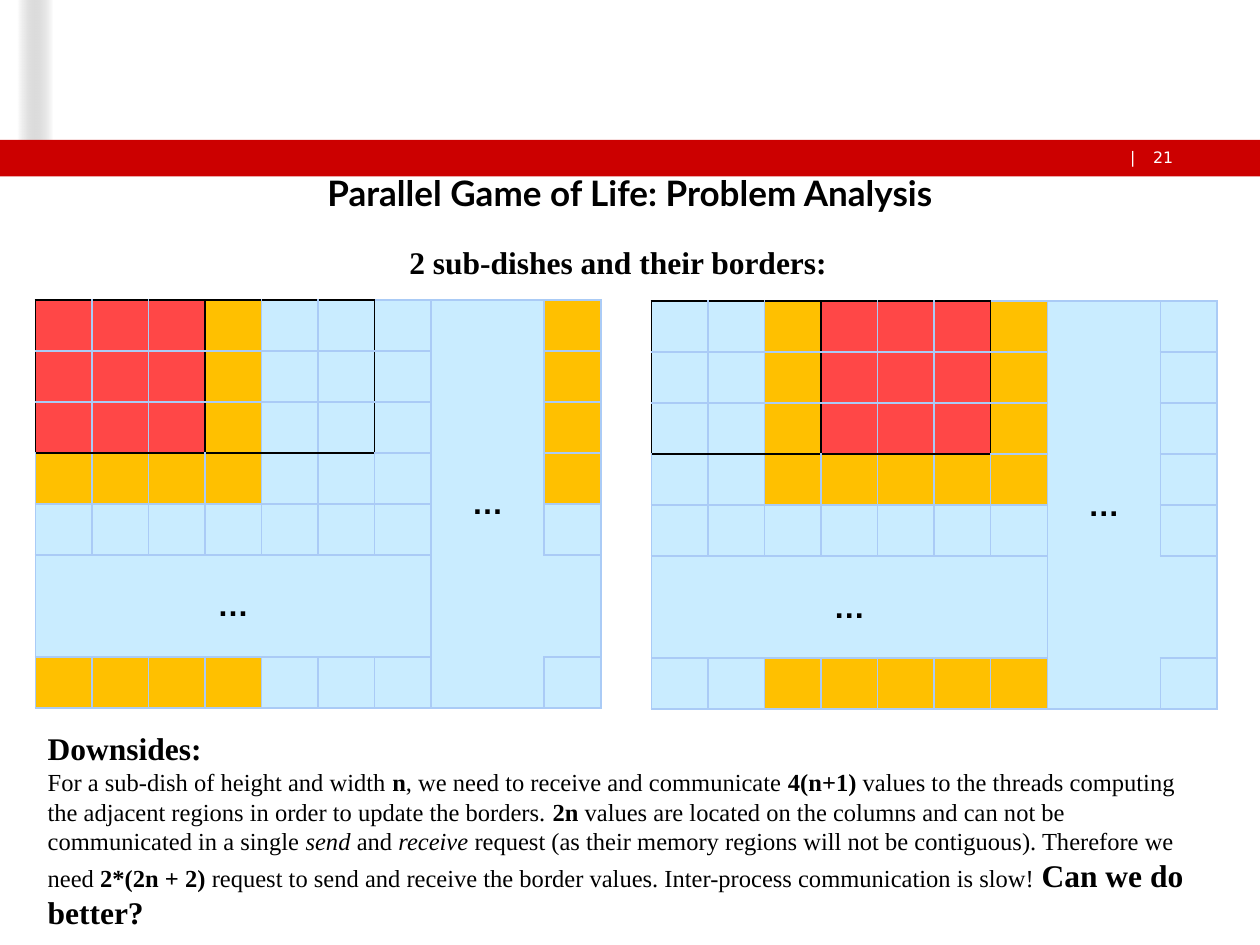
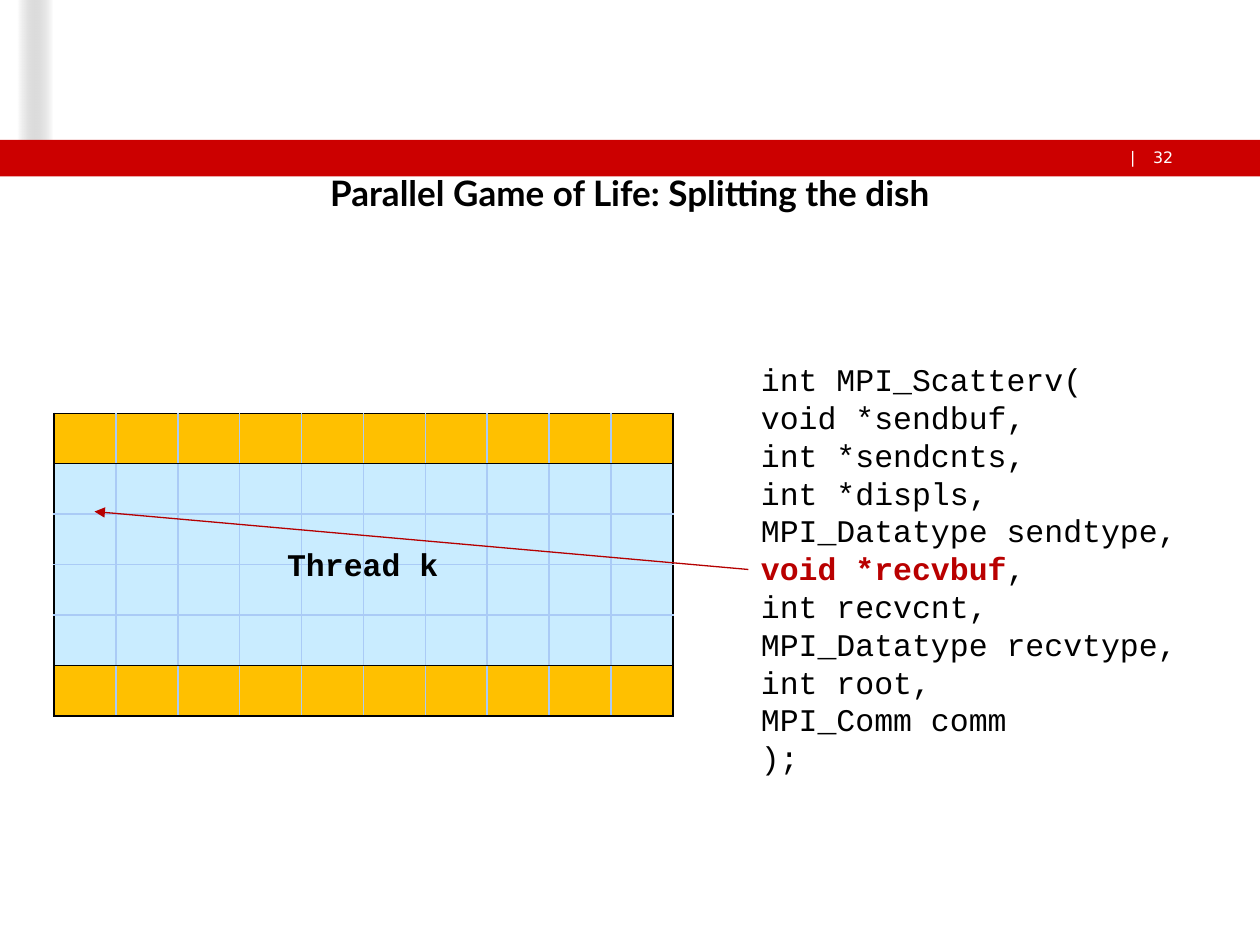
"""Build two slides on splitting a parallel Game of Life dish among threads."""
from itertools import accumulate, product

from lxml import etree
from pptx import Presentation
from pptx.dml.color import RGBColor
from pptx.enum import shapes, text
from pptx.oxml.ns import qn
from pptx.util import Inches, Pt

COLOURS = {
    "black": "000000", "white": "FFFFFF", "grey": "757575", "band": "CC0000",
    "grid": "AACBF6", "keyword": "B90000", "arrow": "B50000",
    "R": "FF4747", "O": "FFC000", "B": "C9ECFF",
}

HEADING = {"size": 18, "name": "Times New Roman", "bold": True}
BODY = {"size": 14, "name": "Times New Roman"}
STRONG = {**BODY, "bold": True}
EMPHASIS = {**BODY, "italic": True}
CODE = {"size": 18, "name": "Courier New"}
CODE_STRONG = {**CODE, "bold": True}
ELLIPSIS = {"size": 18, "name": "Arial", "bold": True}
TITLE = {"size": 20, "name": "Lato", "bold": True}
PAGE = {"size": 9, "name": "DejaVu Sans", "colour": "white"}

ANALYSIS = {
    "title": "Parallel Game of Life: Problem Analysis",
    "page": "21",
    "subtitle": [[("2 sub-dishes and their borders:", HEADING)]],
    "dishes": [
        (0.28, 2.38, ["RRROBBBBO"] * 3
         + ["OOOOBBBBO", "BBBBBBBBB", "BBBBBBBBB", "OOOOBBBBB"]),
        (5.17, 2.39, ["BBORRROBB"] * 3
         + ["BBOOOOOBB", "BBBBBBBBB", "BBBBBBBBB", "BBOOOOOBB"]),
    ],
    "dish_columns": [1] * 7 + [2, 1],
    "dish_rows": [1] * 5 + [2, 1],
    "dish_size": (4.49, 3.24),
    "sub_dishes": [(0, 0, 3, 3), (0, 3, 3, 6)],
    "gaps": [(0, 7, 6, 7), (5, 0, 5, 6)],
    "open_sides": {(5, 7, "R"), (5, 8, "L")},
    "downsides": [
        [("Downsides:", HEADING)],
        [("For a sub-dish of height and width ", BODY), ("n", STRONG),
         (", we need to receive and communicate ", BODY), ("4(n+1) ", STRONG),
         ("values to the threads computing the adjacent regions in order to "
          "update the borders. ", BODY), ("2n ", STRONG),
         ("values are located on the columns and can not be communicated in "
          "a single ", BODY), ("send ", EMPHASIS), ("and ", BODY),
         ("receive ", EMPHASIS),
         ("request (as their memory regions will not be contiguous). "
          "Therefore we need ", BODY), ("2*(2n + 2) ", STRONG),
         ("request to send and receive the border values. Inter-process "
          "communication is slow! ", BODY), ("Can we do better?", HEADING)],
    ],
}

SPLITTING = {
    "title": "Parallel Game of Life: Splitting the dish",
    "page": "32",
    "strip": ["O" * 10] + ["B" * 10] * 4 + ["O" * 10],
    "strip_parts": [(0, 0, 1, 10), (1, 0, 5, 10), (5, 0, 6, 10)],
    "thread": [[("Thread k", CODE_STRONG)]],
    "signature": [
        [("int MPI_Scatterv(", CODE)],
        [("void *sendbuf,", CODE)],
        [("int *sendcnts,", CODE)],
        [("int *displs, MPI_Datatype sendtype, ", CODE),
         ("void *recvbuf", {**CODE_STRONG, "colour": "keyword"}), (",", CODE)],
        [("int recvcnt, MPI_Datatype recvtype, int root,", CODE)],
        [("MPI_Comm comm", CODE)],
        [(");", CODE)],
    ],
}


def rgb(name):
    return RGBColor.from_string(COLOURS[name])


def write(frame, paragraphs, align=text.PP_ALIGN.LEFT):
    for index, runs in enumerate(paragraphs):
        paragraph = frame.add_paragraph() if index else frame.paragraphs[0]
        paragraph.alignment = align
        for words, style in runs:
            run = paragraph.add_run()
            run.text = words
            values = {"bold": False, "italic": False, **style}
            run.font.color.rgb = rgb(values.pop("colour", "black"))
            values["size"] = Pt(values["size"])
            for attribute, value in values.items():
                setattr(run.font, attribute, value)


def add_text(slide, box, paragraphs, wrap=True, inset=True,
             align=text.PP_ALIGN.LEFT):
    frame = slide.shapes.add_textbox(*map(Inches, box)).text_frame
    frame.word_wrap = wrap
    if not inset:
        for side in ("left", "top", "right", "bottom"):
            setattr(frame, f"margin_{side}", 0)
    write(frame, paragraphs, align)


def add_block(slide, box, colour):
    block = slide.shapes.add_shape(shapes.MSO_SHAPE.RECTANGLE, *map(Inches, box))
    block.shadow.inherit = False
    block.line.fill.background()
    block.fill.solid()
    block.fill.fore_color.rgb = rgb(colour)
    return block


def add_fading_block(slide, box):
    block = add_block(slide, box, "white")
    block.fill.gradient()
    block.fill.gradient_angle = 0
    for stop, position, colour in zip(block.fill.gradient_stops, (0, 1),
                                      ("white", "grey")):
        stop.position = position
        stop.color.rgb = rgb(colour)
    last_colour = list(block.element.spPr.iter(qn("a:srgbClr")))[-1]
    etree.SubElement(last_colour, qn("a:alpha"), val="0")


def add_slide(deck, content):
    slide = deck.slides.add_slide(deck.slide_layouts[5])
    add_fading_block(slide, (0.14, 0, 0.28, 1.11))
    add_block(slide, (0, 0, 0.14, 1.11), "white")
    add_block(slide, (0, 1.11, 10, 0.29), "band")
    add_text(slide, (9.03, 1.17, 0.28, 0.15), [[(content["page"], PAGE)]],
             inset=False, align=text.PP_ALIGN.RIGHT)
    add_text(slide, (8.97, 1.17, 0.06, 0.15), [[("|", PAGE)]],
             wrap=False, inset=False)
    title = slide.shapes.title
    for attribute, length in zip(("left", "top", "width", "height"),
                                 (1.2, 1.31, 7.6, 0.44)):
        setattr(title, attribute, Inches(length))
    title.text_frame.auto_size = text.MSO_AUTO_SIZE.NONE
    title.text_frame.vertical_anchor = text.MSO_ANCHOR.MIDDLE
    write(title.text_frame, [[(content["title"], TITLE)]], text.PP_ALIGN.CENTER)
    return slide


def outline_edges(regions):
    """Return the unit edges that lie on the outline of any region."""
    edges = set()
    for top, left, bottom, right in regions:
        edges |= {("h", row, col) for row in (top, bottom)
                  for col in range(left, right)}
        edges |= {("v", row, col) for col in (left, right)
                  for row in range(top, bottom)}
    return edges


def set_borders(cell, row, col, outlined, open_sides):
    edges = {"L": ("v", row, col), "R": ("v", row, col + 1),
             "T": ("h", row, col), "B": ("h", row + 1, col)}
    properties = cell._tc.get_or_add_tcPr()
    for index, (side, edge) in enumerate(edges.items()):
        border = etree.Element(qn(f"a:ln{side}"), w=str(Pt(1)))
        if (row, col, side) in open_sides:
            etree.SubElement(border, qn("a:noFill"))
        else:
            fill = etree.SubElement(border, qn("a:solidFill"))
            colour = COLOURS["black" if edge in outlined else "grid"]
            etree.SubElement(fill, qn("a:srgbClr"), val=colour)
        properties.insert(index, border)


def size_tracks(tracks, weights, total, attribute):
    ends = [round(Inches(total) * end / sum(weights))
            for end in accumulate(weights)]
    for track, start, end in zip(tracks, [0] + ends, ends):
        setattr(track, attribute, end - start)


def add_grid(slide, box, fills, regions, columns=None, rows=None, gaps=(),
             open_sides=()):
    columns = columns or [1] * len(fills[0])
    rows = rows or [1] * len(fills)
    grid = slide.shapes.add_table(len(rows), len(columns),
                                  *map(Inches, box)).table
    grid.first_row = grid.horz_banding = False
    size_tracks(grid.columns, columns, box[2], "width")
    size_tracks(grid.rows, rows, box[3], "height")
    outlined = outline_edges(regions)
    for row, col in product(range(len(rows)), range(len(columns))):
        cell = grid.cell(row, col)
        cell.fill.solid()
        cell.fill.fore_color.rgb = rgb(fills[row][col])
        set_borders(cell, row, col, outlined, open_sides)
    for top, left, bottom, right in gaps:
        gap = grid.cell(top, left)
        gap.merge(grid.cell(bottom, right))
        gap.vertical_anchor = text.MSO_ANCHOR.MIDDLE
        write(gap.text_frame, [[("…", ELLIPSIS)]], text.PP_ALIGN.CENTER)


def add_arrow(slide, start, end):
    arrow = slide.shapes.add_connector(shapes.MSO_CONNECTOR.STRAIGHT,
                                       *map(Inches, start + end))
    arrow.line.color.rgb = rgb("arrow")
    arrow.line.width = Pt(0.75)
    etree.SubElement(arrow.line._get_or_add_ln(), qn("a:tailEnd"),
                     type="triangle")
    etree.SubElement(arrow.element.spPr, qn("a:effectLst"))


def build_analysis(deck):
    slide = add_slide(deck, ANALYSIS)
    for left, top, fills in ANALYSIS["dishes"]:
        add_grid(slide, (left, top, *ANALYSIS["dish_size"]), fills,
                 ANALYSIS["sub_dishes"], ANALYSIS["dish_columns"],
                 ANALYSIS["dish_rows"], ANALYSIS["gaps"],
                 ANALYSIS["open_sides"])
    add_text(slide, (3.15, 1.88, 4.3, 0.4), ANALYSIS["subtitle"])
    add_text(slide, (0.28, 5.74, 9.38, 1.41), ANALYSIS["downsides"])


def build_splitting(deck):
    slide = add_slide(deck, SPLITTING)
    add_grid(slide, (0.43, 3.28, 4.91, 2.4), SPLITTING["strip"],
             SPLITTING["strip_parts"])
    add_text(slide, (5.94, 2.81, 3.52, 3.43), SPLITTING["signature"])
    add_text(slide, (2.18, 4.28, 1.41, 0.4), SPLITTING["thread"], wrap=False)
    add_arrow(slide, (5.94, 4.52), (0.75, 4.06))


def main():
    deck = Presentation()
    deck.slide_width, deck.slide_height = Inches(10), Inches(7.5)
    build_analysis(deck)
    build_splitting(deck)
    deck.save("out.pptx")


if __name__ == "__main__":
    main()
